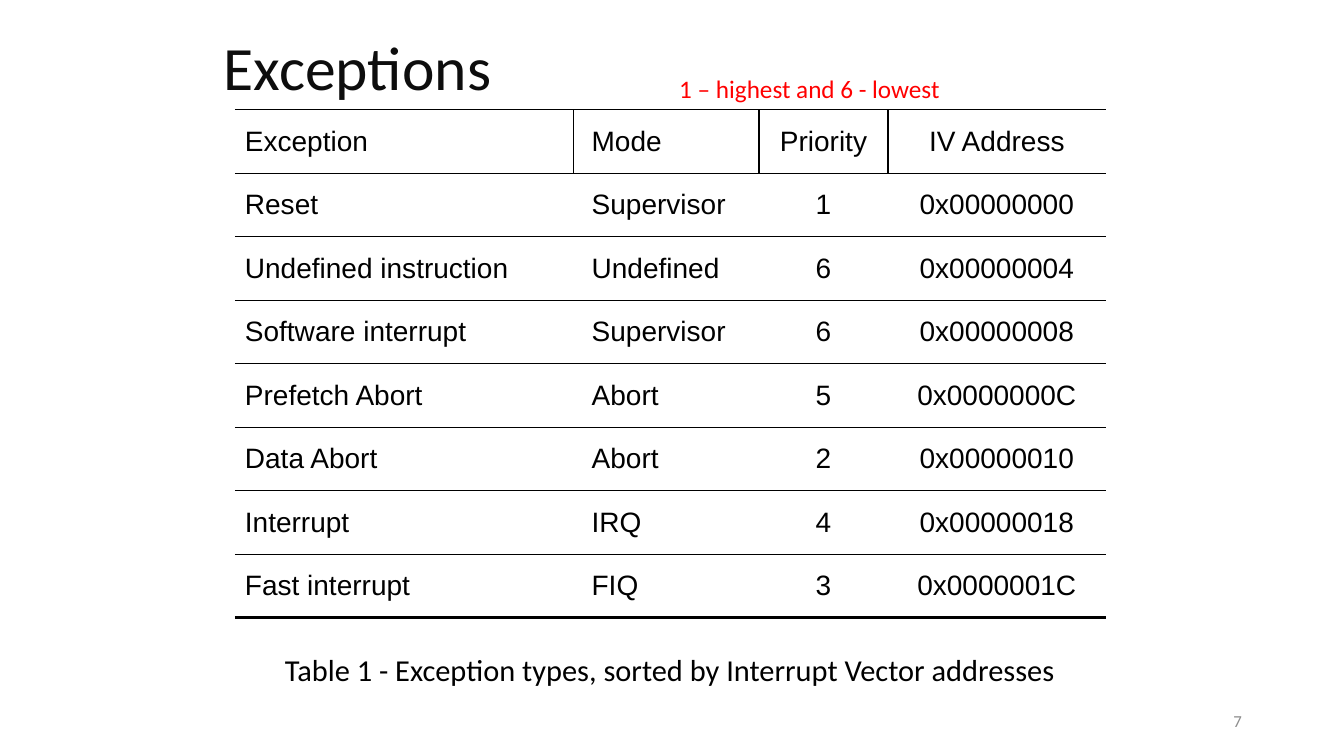
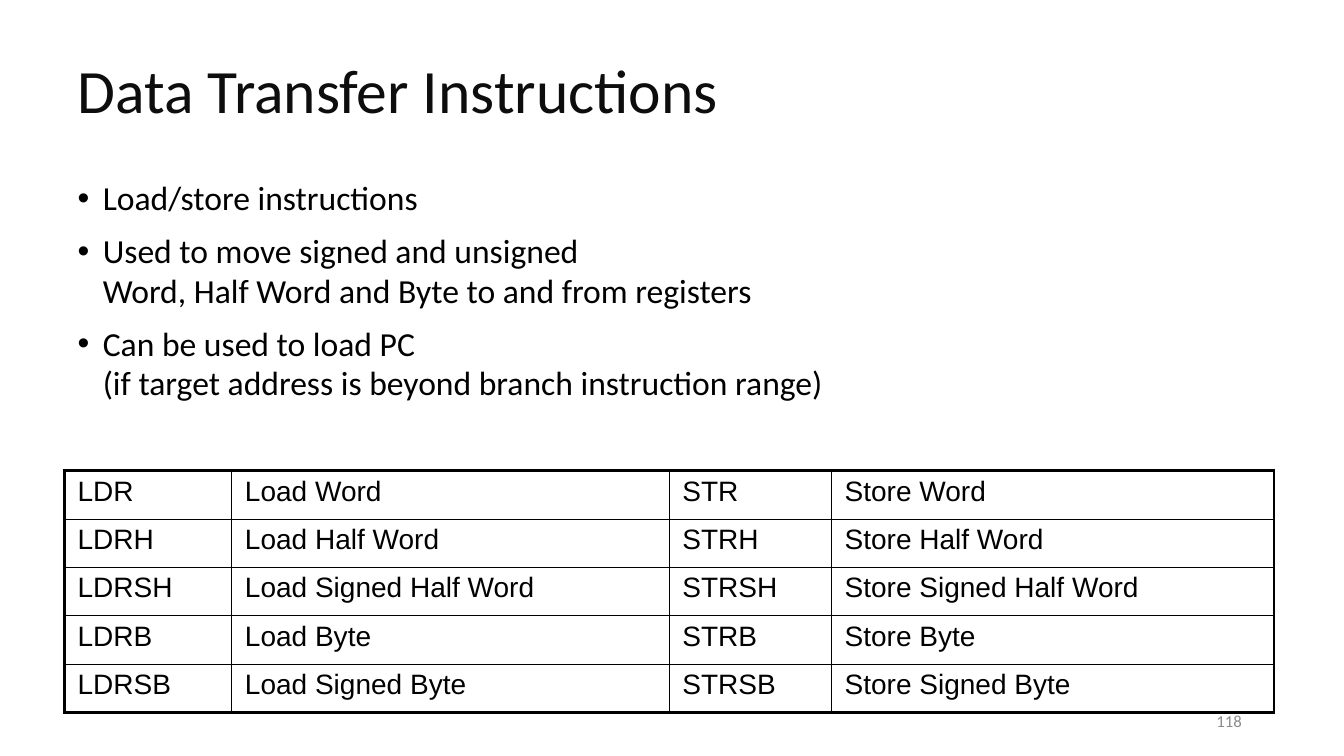
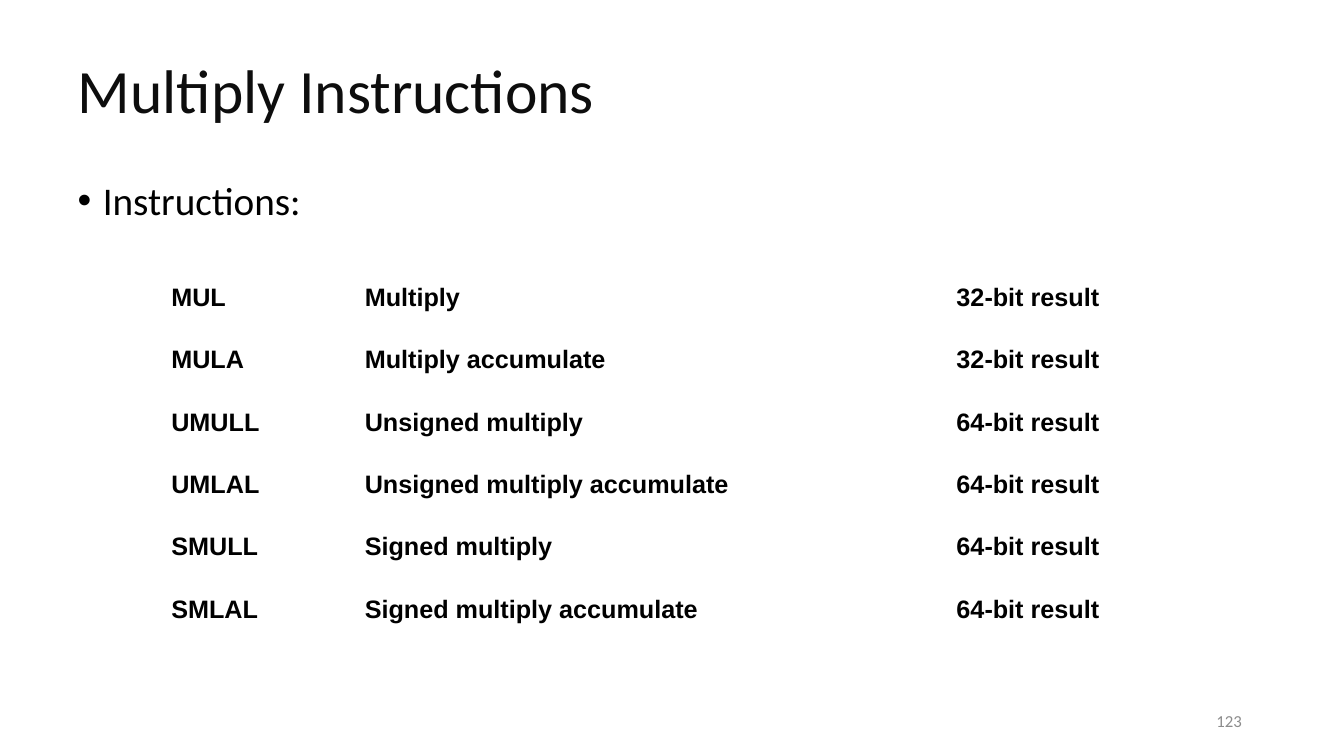
from pptx import Presentation
from pptx.dml.color import RGBColor
from pptx.enum.text import MSO_ANCHOR, MSO_AUTO_SIZE, PP_ALIGN
from pptx.oxml.ns import qn
from pptx.util import Emu, Inches, Pt
from lxml.etree import SubElement

THEME = {
    "title": dict(name="Calibri", size=44, color="0D0D0D"),
    "list": dict(name="Calibri", size=24, color="000000"),
    "lead": dict(name="Calibri", size=28, color="000000"),
    "caption": dict(name="Calibri", size=21.7, color="000000"),
    "note": dict(name="Calibri", size=18, color="FF0000"),
    "number": dict(name="Calibri", size=12, color="8C8C8C"),
    "cell": dict(name="Arial", size=20, color="000000"),
    "bold cell": dict(name="Arial", size=18, color="000000", bold=True),
}
RULE_COLOR, PAPER = "000000", "FFFFFF"
THIN, THICK = 1, 2.25
LEFT, CENTER, RIGHT = PP_ALIGN.LEFT, PP_ALIGN.CENTER, PP_ALIGN.RIGHT
HANG = 0.25

TITLE_BOX = (0.67, 0.3, 12, 1.25)
NUMBER_BOX = (9.42, 6.95, 3, 0.4)

# In lists, each item holds its lines; only the first line has a bullet.
SLIDES = [
    dict(
        title="Exceptions", title_box=(2.12, 0.07, 9, 1.25), number=7,
        body=dict(box=(2.33, 6.51, 8.63, 0.46), style="caption", bullet=False,
                  align=CENTER, spacing=0.7,
                  items=[["Table 1 - Exception types, sorted by Interrupt Vector addresses"]]),
        table=dict(
            at=(2.33, 1.09), cols=(3.36, 1.84, 1.28, 2.16), row=0.63,
            style="cell", aligns=(LEFT, LEFT, CENTER, CENTER), fill=PAPER,
            anchor=MSO_ANCHOR.MIDDLE, insets=(0.1, 0.05), lefts={1: 0.18},
            across=[THIN] * 8 + [THICK],
            down=[[0, THIN, THIN, THIN, 0]] + [[0] * 5] * 7,
            rows=[
                ("Exception", "Mode", "Priority", "IV Address"),
                ("Reset", "Supervisor", "1", "0x00000000"),
                ("Undefined instruction", "Undefined", "6", "0x00000004"),
                ("Software interrupt", "Supervisor", "6", "0x00000008"),
                ("Prefetch Abort", "Abort", "5", "0x0000000C"),
                ("Data Abort", "Abort", "2", "0x00000010"),
                ("Interrupt", "IRQ", "4", "0x00000018"),
                ("Fast interrupt", "FIQ", "3", "0x0000001C"),
            ]),
        note=dict(box=(6.64, 0.68, 2.82, 0.4), text="1 – highest and 6 - lowest"),
    ),
    dict(
        title="Data Transfer Instructions", number=118,
        body=dict(box=(0.67, 1.75, 12.13, 2.68), style="list", items=[
            ["Load/store instructions"],
            ["Used to move signed and unsigned",
             "Word, Half Word and Byte to and from registers"],
            ["Can be used to load PC",
             "(if target address is beyond branch instruction range)"],
        ]),
        table=dict(
            at=(0.64, 4.67), cols=(1.66, 4.34, 1.61, 4.39), row=0.48,
            style="cell", insets=(0.13, 0.05),
            across=[THICK] + [THIN] * 4 + [THICK],
            down=[[THICK, THIN, THIN, THIN, THICK]] * 5,
            rows=[
                ("LDR", "Load Word", "STR", "Store Word"),
                ("LDRH", "Load Half Word", "STRH", "Store Half Word"),
                ("LDRSH", "Load Signed Half Word", "STRSH", "Store Signed Half Word"),
                ("LDRB", "Load Byte", "STRB", "Store Byte"),
                ("LDRSB", "Load Signed Byte", "STRSB", "Store Signed Byte"),
            ]),
    ),
    dict(
        title="Multiply Instructions", number=123,
        body=dict(box=(0.67, 1.75, 12, 2.4), style="lead", items=[["Instructions:"]]),
        table=dict(
            at=(1.63, 2.81), cols=(1.92, 5.87, 2.88), row=0.62,
            style="bold cell", insets=(0.07, 0),
            across=[0] * 7, down=[[0] * 4] * 6,
            rows=[
                ("MUL", "Multiply", "32-bit result"),
                ("MULA", "Multiply accumulate", "32-bit result"),
                ("UMULL", "Unsigned multiply", "64-bit result"),
                ("UMLAL", "Unsigned multiply accumulate", "64-bit result"),
                ("SMULL", "Signed multiply", "64-bit result"),
                ("SMLAL", "Signed multiply accumulate", "64-bit result"),
            ]),
    ),
]


def place(sp, box):
    for side, value in zip(("left", "top", "width", "height"), box):
        setattr(sp, side, Inches(value))


def write(p, text, style, align=LEFT, **formats):
    for key, value in formats.items():
        setattr(p, key, value)
    p.alignment = align
    r = p.add_run()
    r.text = text
    for key, value in THEME[style].items():
        if key == "color":
            r.font.color.rgb = RGBColor.from_string(value)
        else:
            setattr(r.font, key, Pt(value) if key == "size" else value)


def set_bullet(p, shown, hang):
    pPr = p._p.get_or_add_pPr()
    pPr.set("marL", str(Inches(hang)))
    pPr.set("indent", str(-Inches(hang) if shown else 0))
    if shown:
        SubElement(pPr, qn("a:buChar")).set("char", "•")
    else:
        SubElement(pPr, qn("a:buNone"))


def fill_title(sp, text, box):
    place(sp, box)
    tf = sp.text_frame
    tf.auto_size, tf.vertical_anchor = MSO_AUTO_SIZE.NONE, MSO_ANCHOR.MIDDLE
    write(tf.paragraphs[0], text, "title", line_spacing=0.9)


def fill_body(sp, box, style, items, bullet=True, align=LEFT, spacing=0.9):
    place(sp, box)
    tf = sp.text_frame
    tf.auto_size, tf.vertical_anchor = MSO_AUTO_SIZE.NONE, MSO_ANCHOR.TOP
    size = THEME[style]["size"]
    lines = [(text, i == 0) for item in items for i, text in enumerate(item)]
    for n, (text, first) in enumerate(lines):
        p = tf.add_paragraph() if n else tf.paragraphs[0]
        set_bullet(p, bullet and first, HANG if bullet else 0)
        gap = size * (0.5 if first else 0.1) if n else 0
        write(p, text, style, align, line_spacing=spacing, space_before=Pt(gap))


def add_label(s, text, box, style, align=LEFT, wrap=True, anchor=MSO_ANCHOR.TOP):
    sp = s.shapes.add_textbox(*map(Inches, box))
    tf = sp.text_frame
    tf.word_wrap, tf.vertical_anchor = wrap, anchor
    write(tf.paragraphs[0], text, style, align)


def set_borders(cell, widths):
    """Widths are in points, ordered left, right, top, bottom; 0 means no line."""
    tcPr = cell._tc.get_or_add_tcPr()
    for side, width in zip("LRTB", widths):
        ln = SubElement(tcPr, qn(f"a:ln{side}"), w=str(Pt(width)))
        if width:
            fill = SubElement(ln, qn("a:solidFill"))
            SubElement(fill, qn("a:srgbClr"), val=RULE_COLOR)
        else:
            SubElement(ln, qn("a:noFill"))


def add_grid(s, at, cols, row, style, insets, across, down, rows,
             aligns=None, fill=None, anchor=MSO_ANCHOR.TOP, lefts=None):
    """across and down hold the widths of the ruled lines between cells."""
    frame = s.shapes.add_table(len(rows), len(cols), *map(
        Inches, (*at, sum(cols), row * len(rows))))
    table = frame.table
    table.first_row = table.horz_banding = False
    for column, width in zip(table.columns, cols):
        column.width = Inches(width)
    side, end = map(Inches, insets)
    for i, texts in enumerate(rows):
        table.rows[i].height = Inches(row)
        for j, text in enumerate(texts):
            cell = table.cell(i, j)
            cell.margin_left = cell.margin_right = side
            cell.margin_top = cell.margin_bottom = end
            if lefts and j in lefts:
                cell.margin_left = Inches(lefts[j])
            cell.vertical_anchor = anchor
            set_borders(cell, (*down[i][j:j + 2], *across[i:i + 2]))
            if fill:
                cell.fill.solid()
                cell.fill.fore_color.rgb = RGBColor.from_string(fill)
            else:
                cell.fill.background()
            write(cell.text_frame.paragraphs[0], text, style,
                  aligns[j] if aligns else LEFT)


def main():
    prs = Presentation()
    prs.slide_width, prs.slide_height = Emu(12192000), Inches(7.5)
    for data in SLIDES:
        s = prs.slides.add_slide(prs.slide_layouts[1])
        fill_title(s.shapes.title, data["title"], data.get("title_box", TITLE_BOX))
        fill_body(s.placeholders[1], **data["body"])
        add_grid(s, **data["table"])
        add_label(s, str(data["number"]), NUMBER_BOX, "number", RIGHT,
                  anchor=MSO_ANCHOR.MIDDLE)
        if "note" in data:
            add_label(s, **data["note"], style="note", wrap=False)
    prs.save("out.pptx")


if __name__ == "__main__":
    main()
